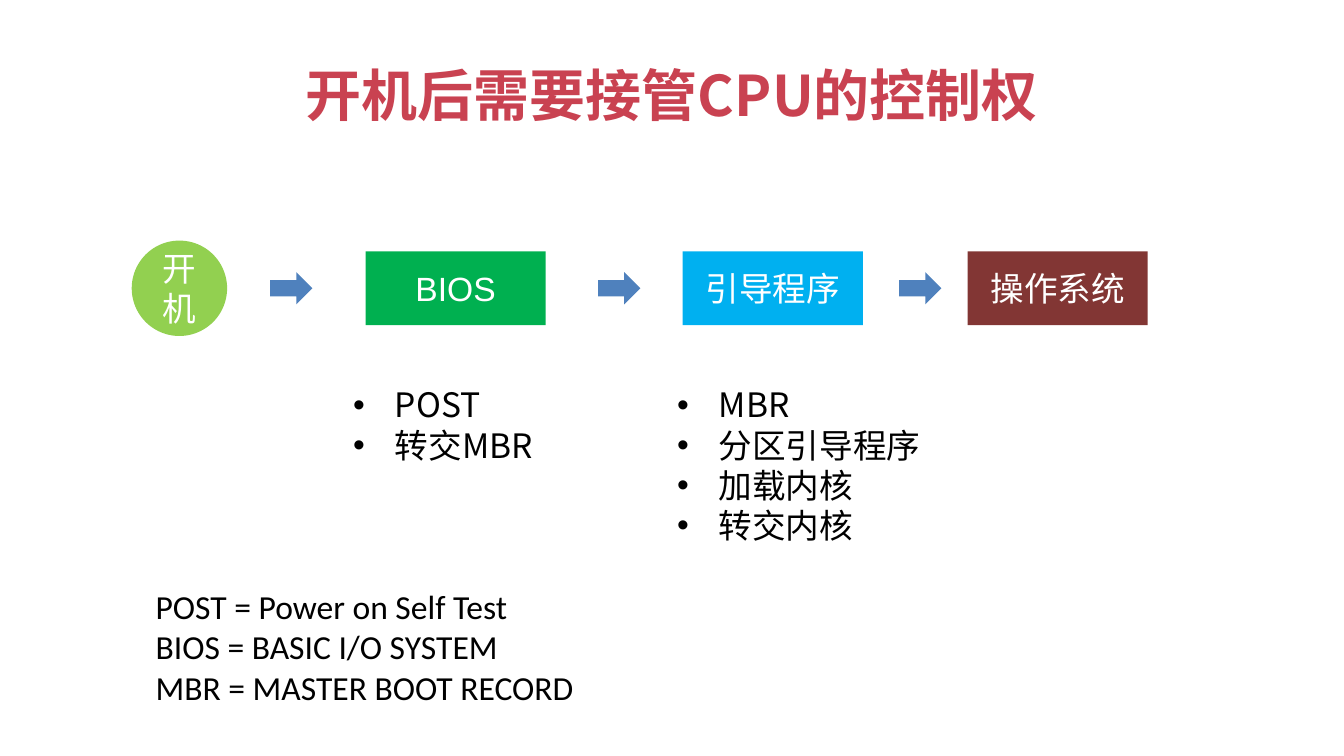
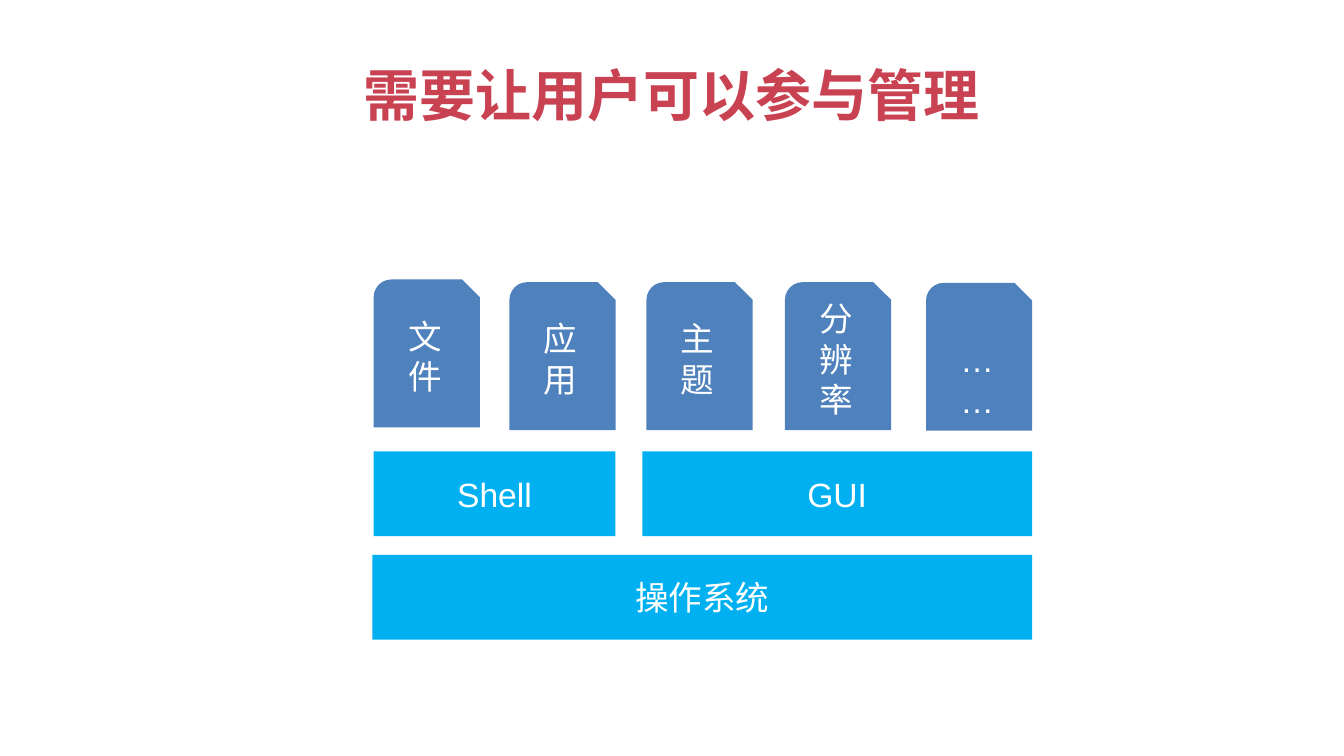
from dataclasses import dataclass

from lxml.etree import Element, SubElement
from pptx import Presentation
from pptx.dml.color import RGBColor
from pptx.enum.shapes import MSO_SHAPE
from pptx.enum.text import MSO_ANCHOR, MSO_AUTO_SIZE, PP_ALIGN
from pptx.oxml.ns import qn
from pptx.slide import Slide
from pptx.text.text import TextFrame
from pptx.util import Emu, Pt

PX = 4572
SLIDE_WIDTH, SLIDE_HEIGHT = 2000, 1125
BULLET_INDENT = 62
HAN_FONT = "Noto Sans CJK SC"
COLORS = {
    "title": "C94251",
    "ink": "000000",
    "white": "FFFFFF",
    "power": "92D050",
    "bios": "00B050",
    "layer": "00B0F0",
    "system": "823634",
    "accent": "4F81BD",
}


@dataclass(frozen=True)
class Block:
    left: int
    top: int
    width: int
    height: int
    color: str
    label: str = ""
    outline: MSO_SHAPE = MSO_SHAPE.RECTANGLE


@dataclass(frozen=True)
class Note:
    left: int
    top: int
    width: int
    height: int
    lines: tuple[str, ...]
    font: str = HAN_FONT
    bulleted: bool = False


def px(length: int) -> Emu:
    return Emu(length * PX)


def rgb(name: str) -> RGBColor:
    return RGBColor.from_string(COLORS[name])


def write(frame: TextFrame, lines: tuple[str, ...], font: str, color: str,
          size: int = 18, bold: bool = False,
          align: PP_ALIGN = PP_ALIGN.LEFT, bulleted: bool = False) -> None:
    for index, line in enumerate(lines):
        paragraph = frame.paragraphs[0] if index == 0 else frame.add_paragraph()
        paragraph.text = line
        paragraph.alignment = align
        paragraph.font.size = Pt(size)
        paragraph.font.bold = bold
        paragraph.font.color.rgb = rgb(color)
        paragraph.font.name = font
        properties = paragraph._p.get_or_add_pPr()
        SubElement(properties.find(qn("a:defRPr")), qn("a:ea"), typeface=HAN_FONT)
        if bulleted:
            properties.set("marL", str(px(BULLET_INDENT)))
            properties.set("indent", str(px(-BULLET_INDENT)))
            properties.insert(0, Element(qn("a:buFont"), typeface="Arial"))
            properties.insert(1, Element(qn("a:buChar"), char="•"))


def draw_title(slide: Slide, title: str) -> None:
    frame = slide.shapes.add_textbox(px(100), px(46), px(1800), px(188)).text_frame
    frame.word_wrap = True
    frame.vertical_anchor = MSO_ANCHOR.MIDDLE
    write(frame, (title,), HAN_FONT, "title", 30, True, PP_ALIGN.CENTER)


def draw_block(slide: Slide, block: Block) -> None:
    shape = slide.shapes.add_shape(
        block.outline, px(block.left), px(block.top), px(block.width), px(block.height))
    shape.shadow.inherit = False
    shape.fill.solid()
    shape.fill.fore_color.rgb = rgb(block.color)
    shape.line.fill.background()
    if block.label:
        shape.text_frame.word_wrap = True
        shape.text_frame.vertical_anchor = MSO_ANCHOR.MIDDLE
        write(shape.text_frame, (block.label,), "Arial", "white", align=PP_ALIGN.CENTER)


def draw_note(slide: Slide, note: Note) -> None:
    frame = slide.shapes.add_textbox(
        px(note.left), px(note.top), px(note.width), px(note.height)).text_frame
    frame.word_wrap = False
    frame.auto_size = MSO_AUTO_SIZE.SHAPE_TO_FIT_TEXT
    write(frame, note.lines, note.font, "ink", bulleted=note.bulleted)


def add_slide(deck: Presentation, title: str, blocks: list[Block],
              notes: tuple[Note, ...] = ()) -> None:
    slide = deck.slides.add_slide(deck.slide_layouts[6])
    draw_title(slide, title)
    for block in blocks:
        draw_block(slide, block)
    for note in notes:
        draw_note(slide, note)


def boot_blocks() -> list[Block]:
    power = Block(196, 358, 142, 142, "power", "开机", MSO_SHAPE.OVAL)
    stages = [
        Block(left, 374, 268, 110, color, label)
        for left, color, label in (
            (544, "bios", "BIOS"),
            (1016, "layer", "引导程序"),
            (1440, "system", "操作系统"),
        )
    ]
    handovers = [
        Block(left, 405, 63, 48, "accent", outline=MSO_SHAPE.RIGHT_ARROW)
        for left in (402, 890, 1338)
    ]
    return [power, *stages, *handovers]


def management_blocks() -> list[Block]:
    layers = [
        Block(left, top, width, 126, "layer", label)
        for left, top, width, label in (
            (554, 826, 982, "操作系统"),
            (556, 672, 360, "Shell"),
            (956, 672, 580, "GUI"),
        )
    ]
    features = [
        Block(left, top, 158, 220, "accent", label, MSO_SHAPE.SNIP_ROUND_RECTANGLE)
        for left, top, label in (
            (556, 416, "文件"),
            (758, 420, "应用"),
            (962, 420, "主题"),
            (1168, 420, "分辨率"),
            (1378, 421, " ……"),
        )
    ]
    return layers + features


def main() -> None:
    deck = Presentation()
    deck.slide_width, deck.slide_height = px(SLIDE_WIDTH), px(SLIDE_HEIGHT)
    boot_notes = (
        Note(506, 562, 318, 142, ("POST", "转交MBR"), bulleted=True),
        Note(988, 562, 406, 262,
             ("MBR", "分区引导程序", "加载内核", "转交内核"), bulleted=True),
        Note(212, 862, 668, 202,
             ("POST = Power on Self Test", "BIOS = BASIC I/O SYSTEM",
              "MBR = MASTER BOOT RECORD"), font="Calibri"),
    )
    add_slide(deck, "开机后需要接管CPU的控制权", boot_blocks(), boot_notes)
    add_slide(deck, "需要让用户可以参与管理", management_blocks())
    deck.save("out.pptx")


if __name__ == "__main__":
    main()
